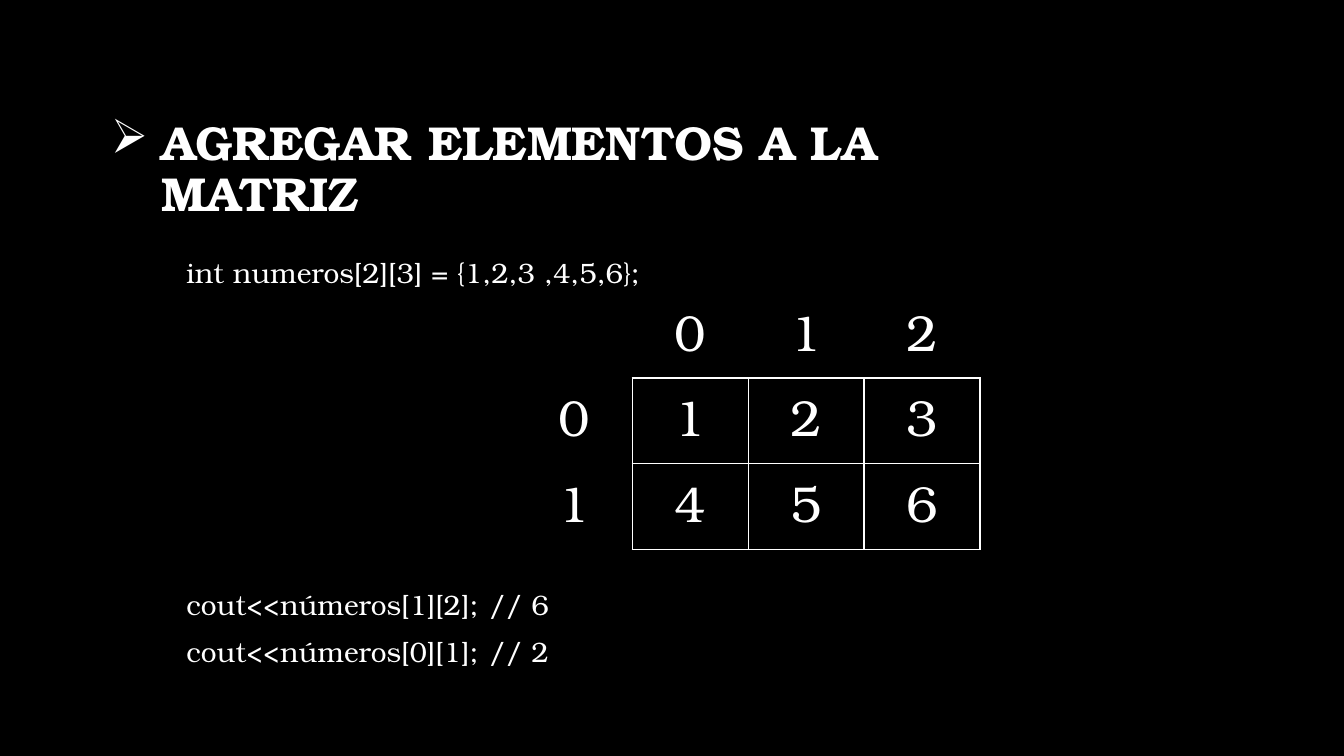
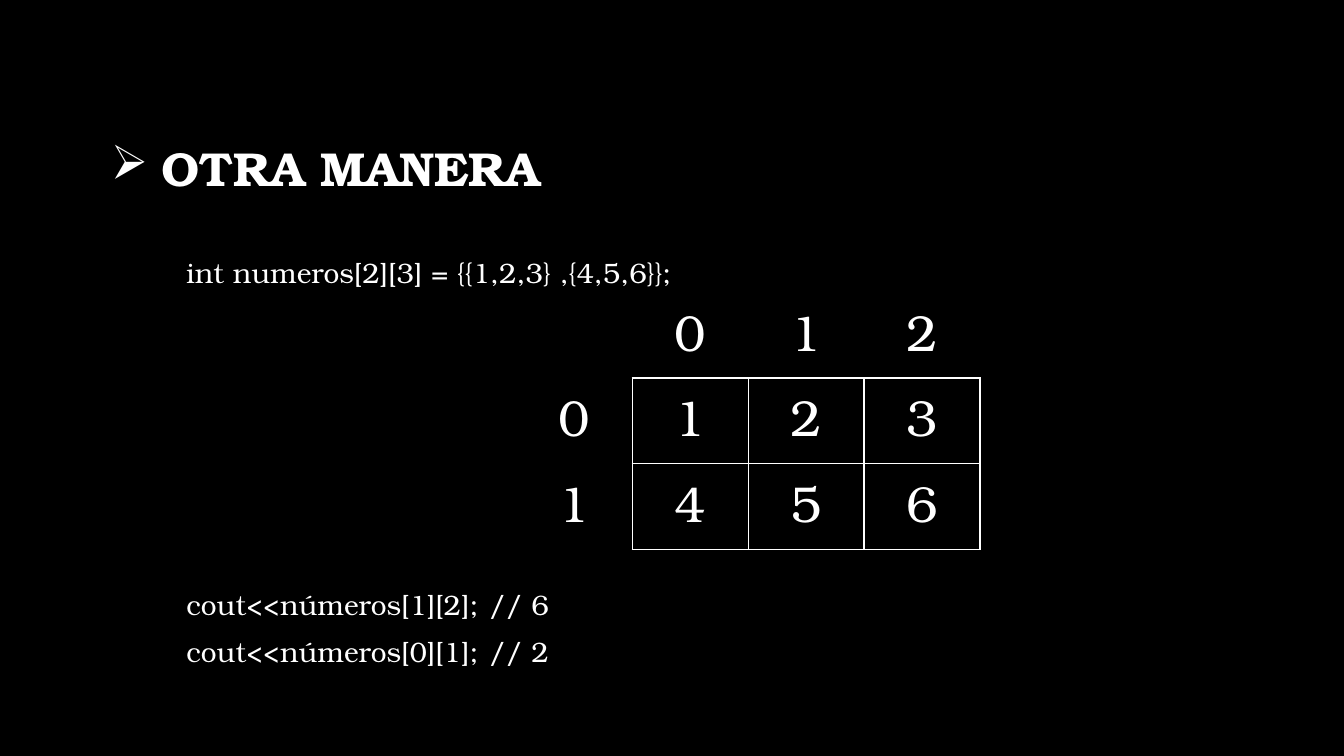
"""Build two slides on filling a matrix."""
import dataclasses

import lxml.etree
import pptx
import pptx.dml.color
import pptx.enum.text
import pptx.oxml.ns
import pptx.util

Inches = pptx.util.Inches
Pt = pptx.util.Pt


@dataclasses.dataclass(frozen=True)
class Theme:
    """Hold the colours, font and type sizes."""
    back: str = "000000"
    ink: str = "FFFFFF"
    font: str = "TeX Gyre Bonum"
    title: int = 34
    code: int = 20
    cell: int = 36
    rule: int = 1


THEME = Theme()
GRID = [["", "0", "1", "2"], ["0", "1", "2", "3"], ["1", "4", "5", "6"]]
PRINTS = ["cout<<números[1][2];\t// 6", "cout<<números[0][1];\t// 2"]
SLIDES = [
    ("AGREGAR ELEMENTOS A LA MATRIZ", "int numeros[2][3] = {1,2,3 ,4,5,6};"),
    ("OTRA MANERA", "int numeros[2][3] = {{1,2,3} ,{4,5,6}};"),
]


def rgb(code):
    """Turn a hex code into a colour."""
    return pptx.dml.color.RGBColor.from_string(code)


def add_node(host, tag, **attrs):
    """Append a child element to an XML node."""
    return lxml.etree.SubElement(host, pptx.oxml.ns.qn(tag), attrs)


def add_run(para, text, size, bold=False):
    """Add one run of styled text."""
    run = para.add_run()
    run.text = text
    run.font.name = THEME.font
    run.font.size = Pt(size)
    run.font.bold = bold
    run.font.color.rgb = rgb(THEME.ink)


def indent(para, left, first):
    """Set the left margin and first-line indent."""
    props = para._p.get_or_add_pPr()
    props.set("marL", str(Inches(left)))
    props.set("indent", str(Inches(first)))
    return props


def set_title(slide, text):
    """Place and format the slide title."""
    shape = slide.shapes.title
    shape.left, shape.top = Inches(1), Inches(0.97)
    shape.width, shape.height = Inches(8.78), Inches(1.45)
    frame = shape.text_frame
    frame.auto_size = pptx.enum.text.MSO_AUTO_SIZE.NONE
    frame.vertical_anchor = pptx.enum.text.MSO_ANCHOR.MIDDLE
    para = frame.paragraphs[0]
    para.alignment = pptx.enum.text.PP_ALIGN.LEFT
    para.line_spacing = 0.9
    add_node(indent(para, 0.5, -0.5), "a:buChar", char="➢")
    add_run(para, text, THEME.title, True)


def add_code(slide, top, height, lines):
    """Add a text box with lines of code."""
    box = slide.shapes.add_textbox(
        Inches(1.25), Inches(top), Inches(11.32), Inches(height))
    frame = box.text_frame
    frame.word_wrap = True
    for spot, line in enumerate(lines):
        para = frame.add_paragraph() if spot else frame.paragraphs[0]
        para.line_spacing = 1.2
        para.space_before = Pt(5)
        indent(para, 0.5, 0)
        add_run(para, line, THEME.code)


def set_edges(cell, edges):
    """Draw or hide each edge of a cell."""
    props = cell._tc.get_or_add_tcPr()
    for side, shown in edges.items():
        line = add_node(props, "a:ln" + side, w=str(Pt(THEME.rule)))
        if shown:
            fill = add_node(line, "a:solidFill")
            add_node(fill, "a:srgbClr", val=THEME.ink)
        else:
            add_node(line, "a:noFill")


def add_grid(slide, data):
    """Add the matrix table with its row and column indexes."""
    rows, cols = len(data), len(data[0])
    wide, high = Inches(1.15), Inches(0.85)
    table = slide.shapes.add_table(
        rows, cols, Inches(5.12), Inches(2.9), wide * cols, high * rows).table
    table.first_row = table.horz_banding = False
    for col in table.columns:
        col.width = wide
    for row, items in enumerate(data):
        table.rows[row].height = high
        for col, text in enumerate(items):
            cell = table.cell(row, col)
            inner = row > 0 and col > 0
            set_edges(cell, {"L": inner, "R": row > 0,
                             "T": inner, "B": col > 0})
            cell.fill.background()
            if text:
                para = cell.text_frame.paragraphs[0]
                para.alignment = pptx.enum.text.PP_ALIGN.CENTER
                add_run(para, text, THEME.cell)


def main():
    """Build and save the deck."""
    deck = pptx.Presentation()
    deck.slide_width, deck.slide_height = Inches(13.33), Inches(7.5)
    fill = deck.slide_master.background.fill
    fill.solid()
    fill.fore_color.rgb = rgb(THEME.back)
    for title, code in SLIDES:
        slide = deck.slides.add_slide(deck.slide_layouts[5])
        set_title(slide, title)
        add_code(slide, 2.42, 0.5, [code])
        add_code(slide, 5.71, 1.1, PRINTS)
        add_grid(slide, GRID)
    deck.save("out.pptx")


if __name__ == "__main__":
    main()
